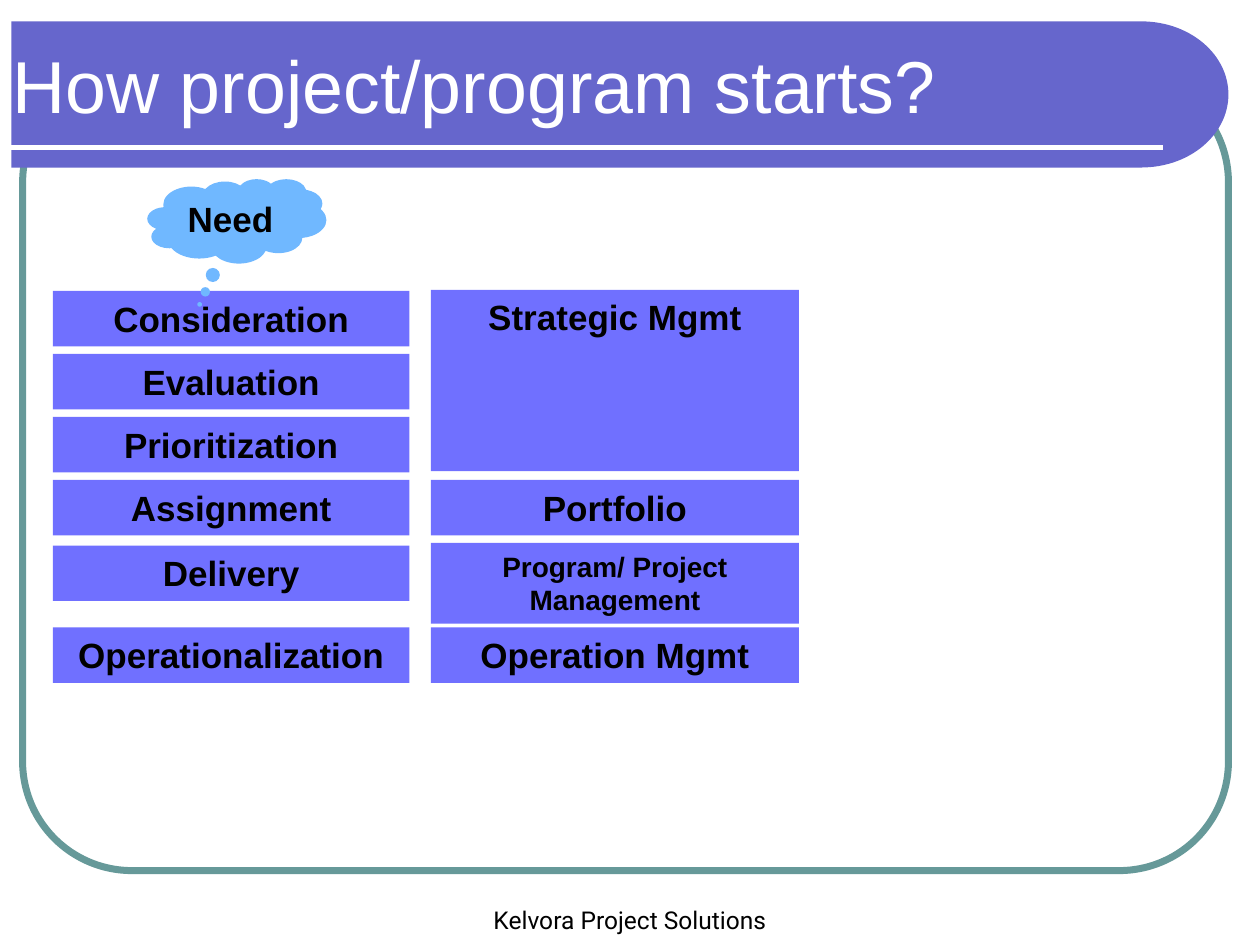
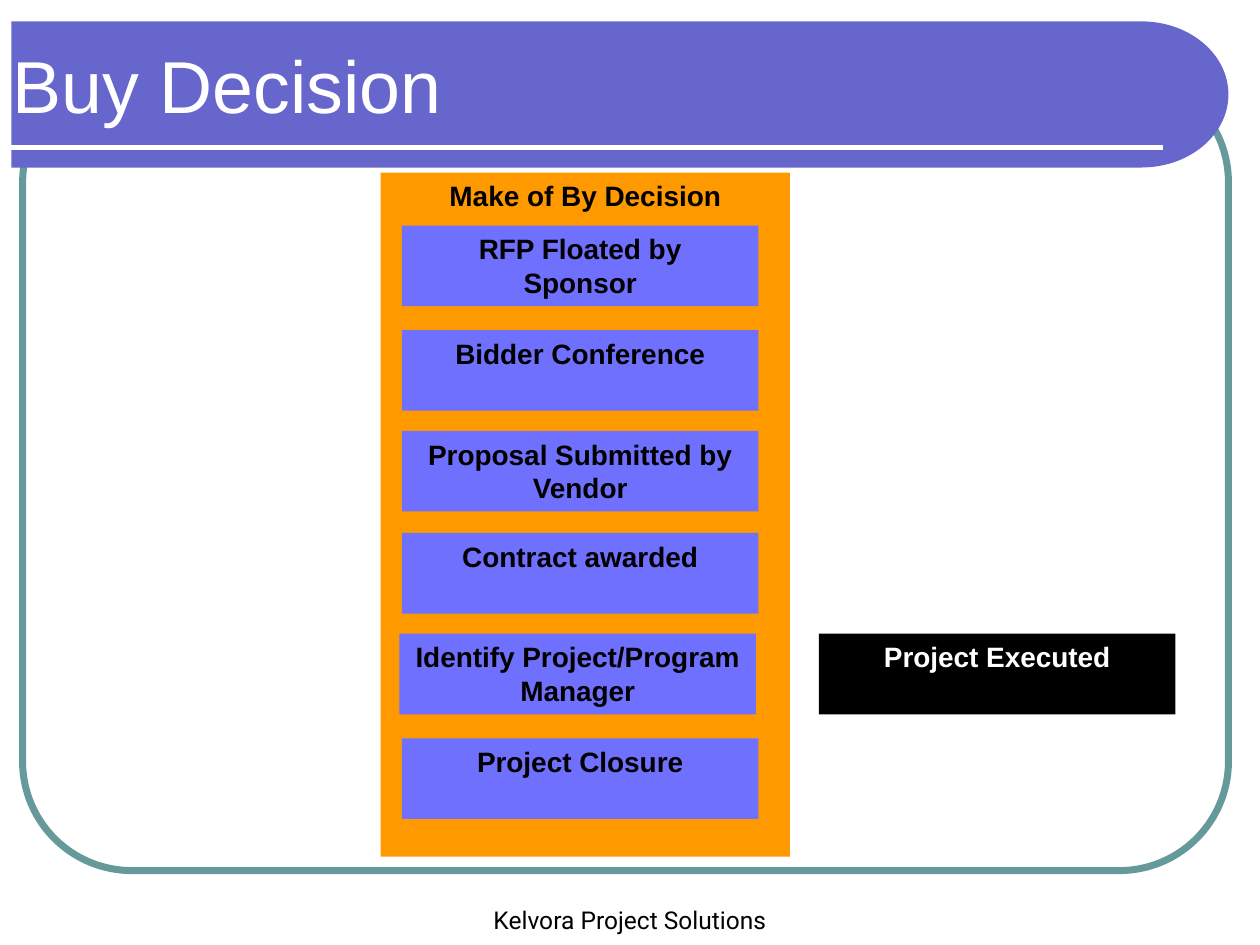
import math
import pptx
import pptx.util
import pptx.dml.color
import pptx.enum.shapes
import pptx.enum.text
from lxml import etree
from pptx.util import Inches, Pt

COLORS = {
    "band": "6666CC", "frame": "669999", "box": "7070FF", "cloud": "70B8FF",
    "panel": "FF9900", "black": "000000", "white": "FFFFFF",
}
FONT = "Arial"
FOOTER = "Kelvora Project Solutions"
SHAPE = pptx.enum.shapes.MSO_SHAPE
ALIGN = pptx.enum.text.PP_ALIGN
ANCHOR = pptx.enum.text.MSO_ANCHOR
FIT = pptx.enum.text.MSO_AUTO_SIZE

LIFECYCLE_TITLE = "How project/program starts?"
NEED = "Need"
STAGES = [
    ("Consideration", 2.31), ("Evaluation", 2.81), ("Prioritization", 3.31),
    ("Assignment", 3.81), ("Delivery", 4.33), ("Operationalization", 4.98),
]
DISCIPLINES = [
    ("Strategic Mgmt", 2.3, 1.44, 20),
    ("Portfolio", 3.81, 0.44, 20),
    ("Program/ Project Management", 4.31, 0.64, 16),
    ("Operation Mgmt", 4.98, 0.44, 20),
]

BUY_TITLE = "Buy Decision"
PANEL_HEADING = "Make of By Decision"
BUY_STEPS = [
    ("RFP Floated by\nSponsor", 3.19, 1.79),
    ("Bidder Conference", 3.19, 2.62),
    ("Proposal Submitted by Vendor", 3.19, 3.42),
    ("Contract awarded", 3.19, 4.23),
    ("Identify Project/Program Manager", 3.17, 5.03),
    ("Project Closure", 3.19, 5.86),
]
EXECUTED = "Project Executed"


def rgb(name):
    return pptx.dml.color.RGBColor.from_string(COLORS[name])


def inches(*values):
    return [Inches(v) for v in values]


def write(shape, text, size, color="black", font=FONT, bold=True,
          align=ALIGN.CENTER, anchor=ANCHOR.TOP):
    tf = shape.text_frame
    tf.text = text
    tf.word_wrap = True
    tf.auto_size = FIT.NONE
    tf.vertical_anchor = anchor
    for p in tf.paragraphs:
        p.alignment = align
        p.font.size = Pt(size)
        p.font.name = font
        p.font.bold = bold
        p.font.color.rgb = rgb(color)


def paint(shape, fill):
    shape.shadow.inherit = False
    shape.fill.solid()
    shape.fill.fore_color.rgb = rgb(fill)
    shape.line.fill.background()


def add_box(s, text, x, y, w, h, size=16, fill="box", color="black", kind=SHAPE.RECTANGLE):
    sp = s.shapes.add_shape(kind, *inches(x, y, w, h))
    paint(sp, fill)
    write(sp, text, size, color)
    return sp


def add_frame(s):
    sp = s.shapes.add_shape(SHAPE.ROUNDED_RECTANGLE, *inches(0.18, 0.58, 9.57, 6.33))
    sp.adjustments[0] = 0.137
    sp.shadow.inherit = False
    sp.fill.background()
    sp.line.color.rgb = rgb("frame")
    sp.line.width = Pt(4)


def add_band(s):
    cx, cy, rx, ry = 9.06, 0.75, 0.69, 0.58
    angles = [math.radians(a) for a in range(-90, 91, 3)]
    arc = [inches(cx + rx * math.cos(a), cy + ry * math.sin(a)) for a in angles]
    builder = s.shapes.build_freeform(*inches(0.09, cy - ry))
    builder.add_line_segments(arc + [inches(0.09, cy + ry)], close=True)
    paint(builder.convert_to_shape(), "band")


def add_rule(s):
    line = s.shapes.add_connector(pptx.enum.shapes.MSO_CONNECTOR.STRAIGHT,
                                  *inches(0.08, 1.17, 9.23, 1.17))
    line.line.color.rgb = rgb("white")
    line.line.width = Pt(3)
    etree.SubElement(line.element.spPr, pptx.oxml.ns.qn("a:effectLst"))


def add_slide(prs, title):
    s = prs.slides.add_slide(prs.slide_layouts[5])
    add_frame(s)
    add_band(s)
    add_rule(s)
    footer = s.shapes.add_textbox(*inches(0, 7.13, 10, 0.34))
    write(footer, FOOTER, 14, font="Roboto", bold=False)
    sp = s.shapes.title
    s.shapes.element.append(sp.element)
    sp.left, sp.top, sp.width, sp.height = inches(0, 0.25, 8.77, 0.83)
    write(sp, title, 42, "white", bold=False, align=ALIGN.LEFT, anchor=ANCHOR.MIDDLE)
    return s


def build_lifecycle(prs):
    s = add_slide(prs, LIFECYCLE_TITLE)
    for text, y in STAGES:
        add_box(s, text, 0.42, y, 2.83, 0.44, 20)
    cloud = add_box(s, NEED, 1.17, 1.42, 1.42, 0.67, 20, "cloud", kind=SHAPE.CLOUD_CALLOUT)
    cloud.adjustments[0] = -0.208
    cloud.adjustments[1] = 0.987
    for text, y, h, size in DISCIPLINES:
        add_box(s, text, 3.42, y, 2.92, h, size)


def build_buy_decision(prs):
    s = add_slide(prs, BUY_TITLE)
    add_box(s, PANEL_HEADING, 3.02, 1.37, 3.25, 5.43, fill="panel")
    for text, x, y in BUY_STEPS:
        add_box(s, text, x, y, 2.83, 0.64)
    add_box(s, EXECUTED, 6.5, 5.03, 2.83, 0.64, fill="black", color="white")


def main():
    prs = pptx.Presentation()
    prs.slide_width, prs.slide_height = inches(10, 7.5)
    build_lifecycle(prs)
    build_buy_decision(prs)
    prs.save("out.pptx")


if __name__ == "__main__":
    main()
